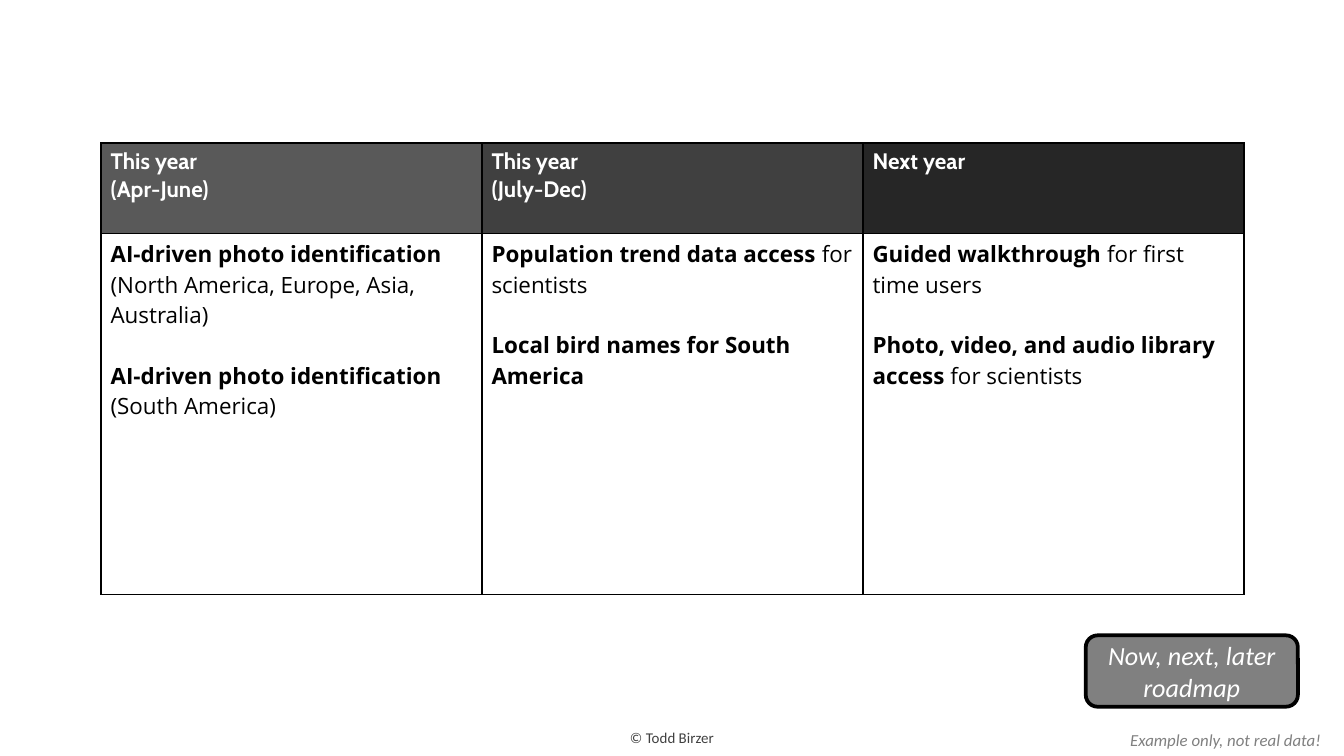
from lxml import etree
from pptx import Presentation
from pptx.dml.color import RGBColor
from pptx.enum import shapes, text
from pptx.oxml import ns
from pptx.util import Cm, Pt


def color(hex_string):
    return RGBColor.from_string(hex_string)


def write(frame, paragraphs, font="Calibri", size=12, ink="000000", italic=None,
          align=text.PP_ALIGN.LEFT, gap=0, wrap=True):
    """Fill a frame; each paragraph is a list of (words, bold) runs."""
    frame.word_wrap = wrap
    for number, runs in enumerate(paragraphs):
        paragraph = frame.add_paragraph() if number else frame.paragraphs[0]
        paragraph.alignment = align
        if number:
            paragraph.space_before = Pt(gap)
        for words, bold in runs:
            run = paragraph.add_run()
            run.text = words
            run.font.name = font
            run.font.size = Pt(size)
            run.font.bold = bold
            run.font.italic = italic
            run.font.color.rgb = color(ink)


prs = Presentation()
prs.slide_width, prs.slide_height = Cm(25.4), Cm(14.29)
slide = prs.slides.add_slide(prs.slide_layouts[6])

copyright_line = slide.shapes.add_textbox(Cm(11.6), Cm(13.64), Cm(2.2), Cm(0.6))
write(copyright_line.text_frame, [[("© Todd Birzer", False)]], size=8, ink="404040",
      align=text.PP_ALIGN.CENTER, wrap=False)

# Roadmap: period heading lines, heading fill, features as (words, bold) runs
periods = [
    (["This year", "(Apr-June)"], "595959", [
        [("AI-driven photo identification ", True),
         ("(North America, Europe, Asia, Australia)", False)],
        [("AI-driven photo identification ", True), ("(South America)", False)],
    ]),
    (["This year", "(July-Dec)"], "404040", [
        [("Population trend data access ", True), ("for scientists", False)],
        [("Local bird names for South America", True)],
    ]),
    (["Next year"], "262626", [
        [("Guided walkthrough", True), (" for first time users", False)],
        [("Photo, video, and audio library access ", True), ("for scientists", False)],
    ]),
]
roadmap = slide.shapes.add_table(2, len(periods), Cm(1.91), Cm(2.7),
                                 Cm(21.6), Cm(8.54)).table
roadmap.horz_banding = False
roadmap.rows[0].height, roadmap.rows[1].height = Cm(1.71), Cm(6.83)

for column, (heading, shade, features) in enumerate(periods):
    roadmap.columns[column].width = Cm(7.2)
    top, body = roadmap.cell(0, column), roadmap.cell(1, column)
    write(top.text_frame, [[(line, True)] for line in heading], font="Cabin", ink="FFFFFF")
    write(body.text_frame, features, font="Open Sans", gap=16.3)
    for cell, fill in ((top, shade), (body, "FFFFFF")):
        cell.margin_left = cell.margin_right = Cm(0.18)
        cell.margin_top = cell.margin_bottom = Cm(0.1)
        cell.fill.solid()
        cell.fill.fore_color.rgb = color(fill)
        properties = cell._tc.get_or_add_tcPr()
        for place, side in enumerate(("lnL", "lnR", "lnT", "lnB")):
            border = etree.Element(ns.qn(f"a:{side}"), w=str(Pt(1)))
            solid = etree.SubElement(border, ns.qn("a:solidFill"))
            etree.SubElement(solid, ns.qn("a:srgbClr"), val="000000")
            properties.insert(place, border)

disclaimer = slide.shapes.add_textbox(Cm(21.11), Cm(13.67), Cm(4.17), Cm(0.64))
write(disclaimer.text_frame, [[("Example only, not real data!", False)]], size=9,
      ink="808080", italic=True, wrap=False)

label = slide.shapes.add_shape(shapes.MSO_SHAPE.ROUNDED_RECTANGLE,
                               Cm(20.52), Cm(12.01), Cm(4.01), Cm(1.35))
label.shadow.inherit = False
label.fill.solid()
label.fill.fore_color.rgb = color("808080")
label.line.color.rgb = color("000000")
label.line.width = Pt(2)
label.text_frame.vertical_anchor = text.MSO_ANCHOR.MIDDLE
write(label.text_frame, [[("Now, next, later roadmap", False)]], size=14, ink="FFFFFF",
      italic=True, align=text.PP_ALIGN.CENTER)

prs.save("out.pptx")
